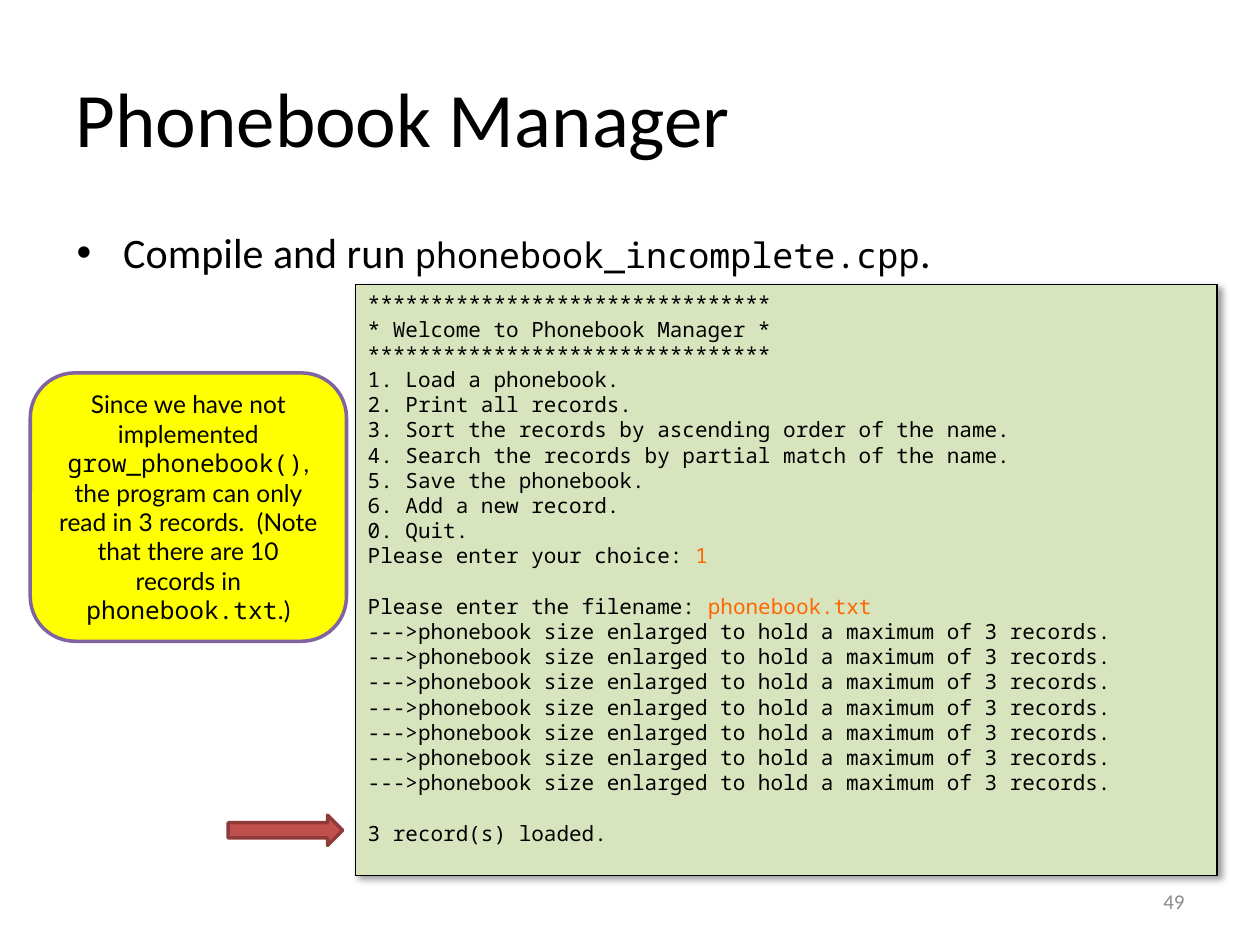
from dataclasses import dataclass

from lxml import etree
from pptx import Presentation
from pptx import util as u
from pptx.dml.color import RGBColor
from pptx.enum import shapes, text
from pptx.oxml.ns import qn


@dataclass(frozen=True)
class Theme:
    ink: str = "000000"
    muted: str = "8B8B8B"
    user_input: str = "FF6600"
    console: str = "D7E4BD"
    note: str = "FFFF00"
    note_edge: str = "8064A2"
    pointer: str = "C0504D"
    pointer_edge: str = "8E3B39"
    body: str = "Calibri"
    callout: str = "Lato"
    mono: str = "Noto Sans Mono"
    title_size: float = 44
    body_size: float = 24
    file_size: float = 20
    note_size: float = 14
    small_size: float = 12
    console_pitch: float = 14.4


THEME = Theme()
COLUMNS, ROWS = 100, 75
SLIDE_WIDTH, SLIDE_HEIGHT = u.Inches(10), u.Inches(7.5)


def place(column, row, columns, rows):
    across, down = SLIDE_WIDTH / COLUMNS, SLIDE_HEIGHT / ROWS
    return [u.Emu(round(n)) for n in
            (column * across, row * down, columns * across, rows * down)]


def write(paragraph, words, font=THEME.body, size=THEME.body_size, color=THEME.ink):
    run = paragraph.add_run()
    run.text = words
    run.font.name = font
    run.font.size = u.Pt(size)
    run.font.color.rgb = RGBColor.from_string(color)


def prepare(frame, anchor=text.MSO_ANCHOR.MIDDLE, align=text.PP_ALIGN.LEFT):
    frame.word_wrap = True
    frame.auto_size = text.MSO_AUTO_SIZE.NONE
    frame.vertical_anchor = anchor
    paragraph = frame.paragraphs[0]
    paragraph.alignment = align
    return paragraph


def add_panel(slide, kind, box, fill, edge, weight):
    panel = slide.shapes.add_shape(kind, *box)
    panel.shadow.inherit = False
    panel.fill.solid()
    panel.fill.fore_color.rgb = RGBColor.from_string(fill)
    panel.line.color.rgb = RGBColor.from_string(edge)
    panel.line.width = u.Pt(weight)
    return panel


def cast_shadow(panel, blur, distance, angle, opacity):
    effects = panel._element.spPr.find(qn("a:effectLst"))
    shadow = etree.SubElement(
        effects, qn("a:outerShdw"), blurRad=str(u.Pt(blur)), dist=str(u.Pt(distance)),
        dir=str(angle * 60000), algn="tl", rotWithShape="0")
    tint = etree.SubElement(shadow, qn("a:srgbClr"), val=THEME.ink)
    etree.SubElement(tint, qn("a:alpha"), val=str(opacity * 1000))


def add_heading(slide, box):
    heading = slide.shapes.title
    heading.left, heading.top, heading.width, heading.height = box
    write(prepare(heading.text_frame), "Phonebook Manager", size=THEME.title_size)


def add_instruction(slide, box):
    instruction = slide.shapes.add_textbox(*box)
    paragraph = prepare(instruction.text_frame, text.MSO_ANCHOR.TOP)
    properties = paragraph._p.get_or_add_pPr()
    properties.set("marL", str(u.Inches(0.38)))
    properties.set("indent", str(u.Inches(-0.37)))
    etree.SubElement(properties, qn("a:buFont"), typeface="Arial")
    etree.SubElement(properties, qn("a:buChar"), char="•")
    write(paragraph, "Compile and run ")
    write(paragraph, "phonebook_incomplete.cpp", font=THEME.mono, size=THEME.file_size)
    write(paragraph, ".")


def add_console(slide, box):
    border = "*" * 32
    growth = "--->phonebook size enlarged to hold a maximum of 3 records."
    sections = [
        [(border,), ("* Welcome to Phonebook Manager *",), (border,),
         ("1. Load a phonebook.",),
         ("2. Print all records.",),
         ("3. Sort the records by ascending order of the name.",),
         ("4. Search the records by partial match of the name.",),
         ("5. Save the phonebook.",),
         ("6. Add a new record.",),
         ("0. Quit.",),
         ("Please enter your choice: ", "1")],
        [("Please enter the filename: ", "phonebook.txt")] + [(growth,)] * 7,
        [("3 record(s) loaded.",)],
    ]
    console = add_panel(slide, shapes.MSO_SHAPE.RECTANGLE, box,
                        THEME.console, THEME.ink, 0.75)
    cast_shadow(console, blur=4, distance=3, angle=45, opacity=40)
    frame = console.text_frame
    paragraph = prepare(frame, text.MSO_ANCHOR.TOP)
    for section_index, section in enumerate(sections):
        for line_index, line in enumerate(section):
            if section_index or line_index:
                paragraph = frame.add_paragraph()
                paragraph.alignment = text.PP_ALIGN.LEFT
            paragraph.line_spacing = u.Pt(THEME.console_pitch)
            if section_index and not line_index:
                paragraph.space_before = u.Pt(THEME.console_pitch)
            for words, color in zip(line, (THEME.ink, THEME.user_input)):
                write(paragraph, words, font=THEME.mono,
                      size=THEME.small_size, color=color)


def add_note(slide, box):
    note = add_panel(slide, shapes.MSO_SHAPE.ROUNDED_RECTANGLE, box,
                     THEME.note, THEME.note_edge, 2)
    paragraph = prepare(note.text_frame, align=text.PP_ALIGN.CENTER)
    for words, font in (
        ("Since we have not implemented ", THEME.callout),
        ("grow_phonebook()", THEME.mono),
        (", the program can only read in 3 records.  (Note that there are 10 records in ",
         THEME.callout),
        ("phonebook.txt", THEME.mono),
        (".)", THEME.callout),
    ):
        write(paragraph, words, font=font, size=THEME.note_size)


def add_pointer(slide, box):
    add_panel(slide, shapes.MSO_SHAPE.RIGHT_ARROW, box,
              THEME.pointer, THEME.pointer_edge, 2)


def add_page_number(slide, box):
    number = slide.shapes.add_textbox(*box)
    write(prepare(number.text_frame, align=text.PP_ALIGN.RIGHT), "49",
          size=THEME.small_size, color=THEME.muted)


def main():
    deck = Presentation()
    deck.slide_width, deck.slide_height = SLIDE_WIDTH, SLIDE_HEIGHT
    slide = deck.slides.add_slide(deck.slide_layouts[5])
    add_heading(slide, place(5, 3, 90, 12.5))
    add_instruction(slide, place(5, 17.5, 90, 49.5))
    add_page_number(slide, place(71.7, 69.5, 23.3, 4))
    add_console(slide, place(28.2, 22.6, 68.4, 46.9))
    add_note(slide, place(2.4, 29.6, 25.1, 21.3))
    add_pointer(slide, place(18.1, 64.7, 9.1, 2.4))
    deck.save("out.pptx")


if __name__ == "__main__":
    main()
